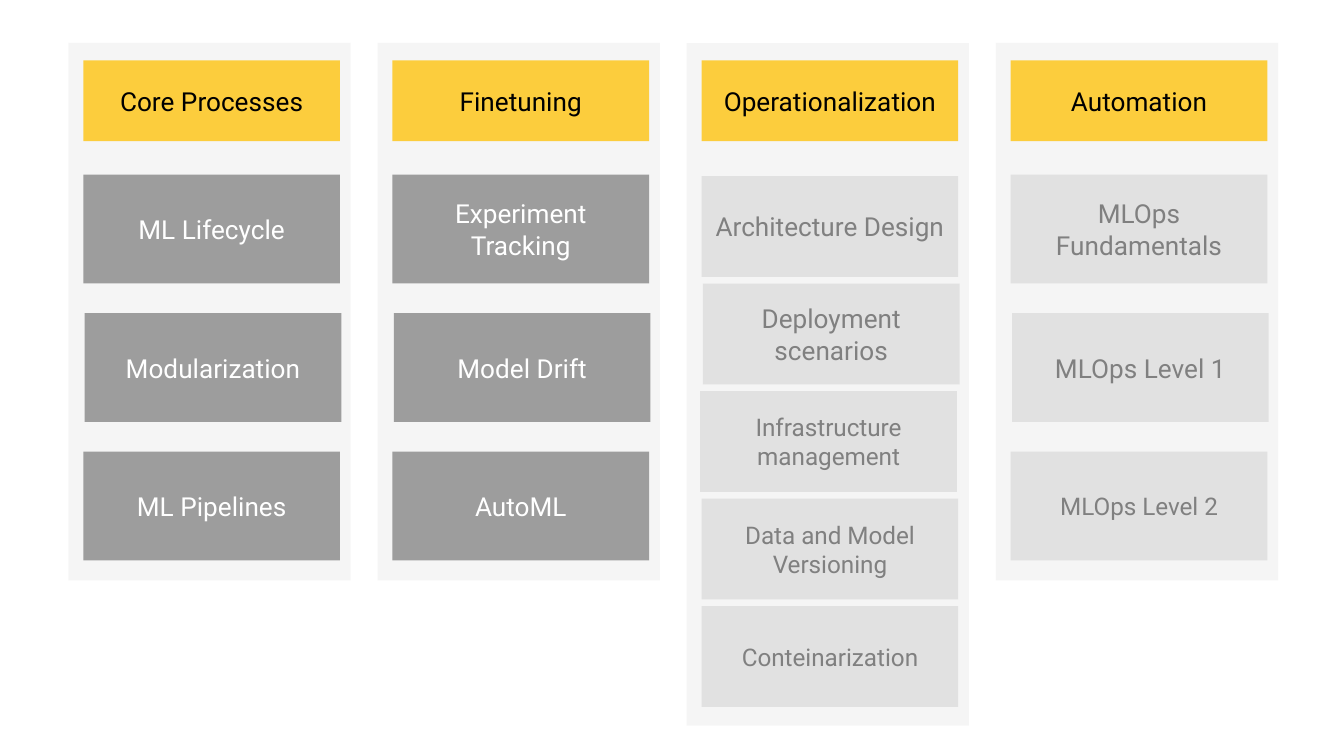
"""Build a slide with four columns of machine learning course topics."""
from lxml import etree
from pptx import Presentation
from pptx.dml.color import RGBColor
from pptx.enum.shapes import MSO_SHAPE
from pptx.enum.text import MSO_ANCHOR, PP_ALIGN
from pptx.oxml.ns import qn
from pptx.util import Inches, Pt

RECTANGLE = MSO_SHAPE.RECTANGLE
MIDDLE = MSO_ANCHOR.MIDDLE
CENTER = PP_ALIGN.CENTER

COLORS = {
    "panel": "EDEDED",
    "header": "FFC000",
    "done": "808080",
    "planned": "DBDBDB",
    "black": "000000",
    "white": "FFFFFF",
    "gray": "808080",
}
TEXT_COLORS = {"header": "black", "done": "white", "planned": "gray"}

COLUMNS = [
    ("Core Processes", "done",
     [("ML Lifecycle", 14), ("Modularization", 14), ("ML Pipelines", 14)]),
    ("Finetuning", "done",
     [("Experiment Tracking", 14), ("Model Drift", 14), ("AutoML", 14)]),
    ("Operationalization", "planned",
     [("Architecture Design", 14), ("Deployment scenarios", 14),
      ("Infrastructure management", 13), ("Data and Model Versioning", 13),
      ("Conteinarization", 13)]),
    ("Automation", "planned",
     [("MLOps Fundamentals", 14), ("MLOps Level 1", 14), ("MLOps Level 2", 13)]),
]
ROW_LAYOUTS = {
    3: {"top": 1.3, "height": 0.81, "step": 1.03, "panel": 4,
        "nudges": (0, 0.01, 0), "grouped": False},
    5: {"top": 1.31, "height": 0.75, "step": 0.8, "panel": 5.08,
        "nudges": (0, 0.01, -0.01, 0, 0), "grouped": True},
}

LEFT, TOP, COLUMN_STEP = 0.51, 0.32, 2.3
PANEL_WIDTH, BOX_WIDTH, INDENT = 2.1, 1.91, 0.11
HEADER_TOP, HEADER_HEIGHT = 0.45, 0.6


def add_box(shapes, left, top, width, height, fill, opacity):
    """Add a borderless, translucent rectangle."""
    box = shapes.add_shape(
        RECTANGLE, Inches(left), Inches(top), Inches(width), Inches(height))
    box.shadow.inherit = False
    box.line.fill.background()
    box.fill.solid()
    box.fill.fore_color.rgb = RGBColor.from_string(COLORS[fill])
    color = box.element.spPr.find(qn("a:solidFill"))[0]
    etree.SubElement(color, qn("a:alpha"), val=str(opacity * 1000))
    return box


def write_text(box, text, size=14, color="black", font="Roboto"):
    """Write one centred paragraph into a box."""
    frame = box.text_frame
    frame.word_wrap = True
    frame.vertical_anchor = MIDDLE
    frame.margin_left = frame.margin_right = Inches(0.09)
    para = frame.paragraphs[0]
    para.alignment = CENTER
    span = para.add_run()
    span.text = text
    span.font.name = font
    span.font.size = Pt(size)
    span.font.color.rgb = RGBColor.from_string(COLORS[color])


def add_card(shapes, left, top, height, text, style, size=14):
    """Add a labelled box in one of the card styles."""
    box = add_box(shapes, left, top, BOX_WIDTH, height, style, opacity=75)
    write_text(box, text, size=size, color=TEXT_COLORS[style])


def add_column(page, left, heading, style, topics):
    """Add a panel with its heading and its stack of topics."""
    rows = ROW_LAYOUTS[len(topics)]
    shapes = page.shapes
    add_box(shapes, left, TOP, PANEL_WIDTH, rows["panel"], "panel", opacity=50)
    card_left = left + INDENT
    add_card(shapes, card_left, HEADER_TOP, HEADER_HEIGHT, heading, "header")
    if rows["grouped"]:
        shapes = shapes.add_group_shape().shapes
    for row, ((topic, size), nudge) in enumerate(zip(topics, rows["nudges"])):
        add_card(shapes, card_left + nudge, rows["top"] + row * rows["step"],
                 rows["height"], topic, style, size=size)


def main():
    """Create and save the deck."""
    deck = Presentation()
    deck.slide_width = Inches(10)
    deck.slide_height = deck.slide_width * 9 // 16
    page = deck.slides.add_slide(deck.slide_layouts[6])
    for index, (heading, style, topics) in enumerate(COLUMNS):
        add_column(page, LEFT + index * COLUMN_STEP, heading, style, topics)
    deck.save("out.pptx")


if __name__ == "__main__":
    main()
